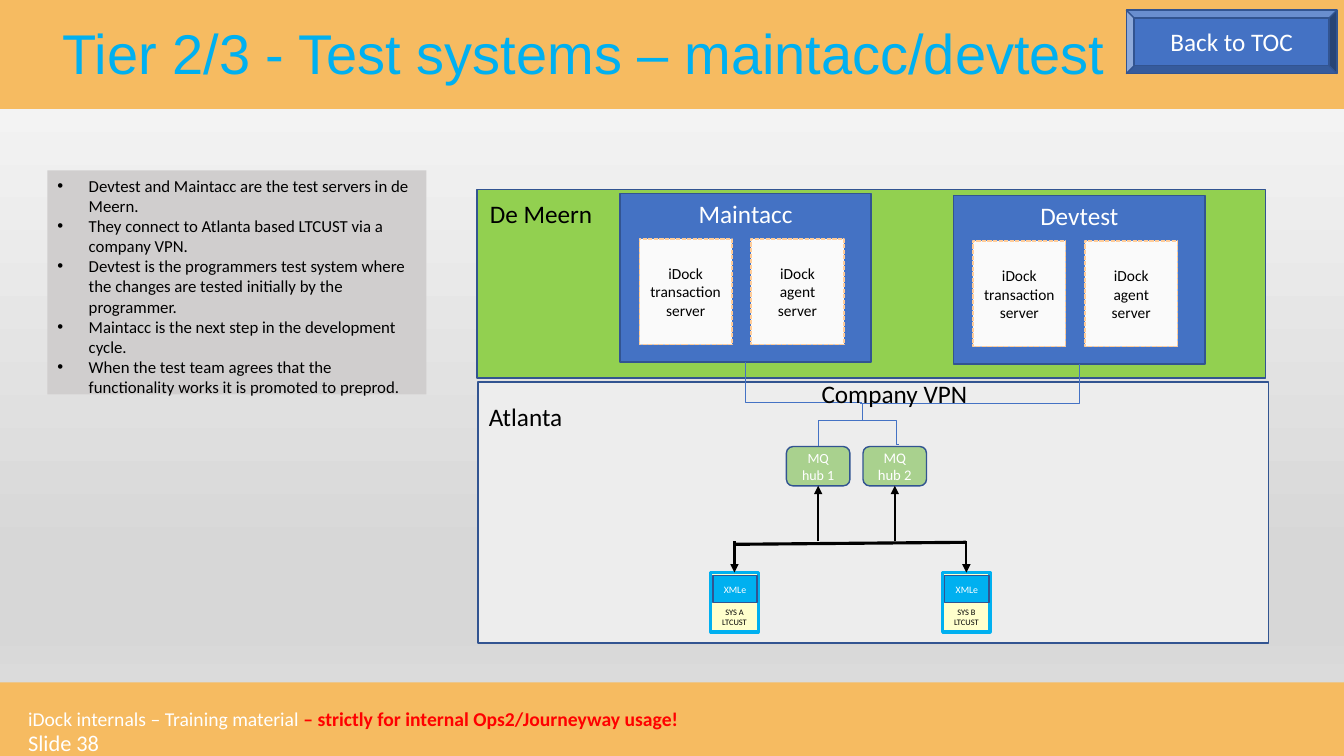
from dataclasses import dataclass

import lxml.etree
import pptx
import pptx.dml.color
import pptx.enum.dml
import pptx.enum.shapes
import pptx.enum.text
import pptx.oxml.ns
import pptx.util

Inches = pptx.util.Inches
Pt = pptx.util.Pt
qn = pptx.oxml.ns.qn
SHAPE = pptx.enum.shapes.MSO_SHAPE
CONNECTOR = pptx.enum.shapes.MSO_CONNECTOR
ANCHOR = pptx.enum.text.MSO_ANCHOR
ALIGN = pptx.enum.text.PP_ALIGN
AUTO_SIZE = pptx.enum.text.MSO_AUTO_SIZE

COLORS = {
    "band": "F6BB61", "title": "00B0F0", "white": "FFFFFF", "black": "000000",
    "warning": "FF0000", "site": "92D050", "server": "4472C4", "outline": "325491",
    "atlanta": "EDEDED", "app": "FAFAFA", "app_line": "FFCC99", "host": "FFFFCC",
    "hub": "A9D18E", "notes": "D0CECE",
}
BACKGROUND_STOPS = [(0, "FAFAFA"), (74, "D7D7D7"), (83, "D7D7D7"), (100, "E4E4E4")]
NOTES = [
    "Devtest and Maintacc are the test servers in de Meern.",
    "They connect to Atlanta based LTCUST via a company VPN.",
    "Devtest is the programmers test system where the changes are tested initially by the programmer.",
    "Maintacc is the next step in the development cycle.",
    "When the test team agrees that the functionality works it is promoted to preprod.",
]


@dataclass
class Box:
    left: float
    top: float
    width: float
    height: float
    fill: str
    line: str | None = "outline"
    text: str = ""
    size: float = 18
    color: str = "white"
    anchor: ANCHOR = ANCHOR.MIDDLE
    preset: SHAPE = SHAPE.RECTANGLE
    line_width: float = 1
    dashed: bool = False
    side_margin: float = 0.1


@dataclass
class Label:
    left: float
    top: float
    width: float
    height: float
    runs: list[tuple[str, str]]
    size: float = 18
    bold_last: bool = False


def rgb(name: str) -> pptx.dml.color.RGBColor:
    return pptx.dml.color.RGBColor.from_string(COLORS[name])


def set_font(font, size: float, color: str, name: str = "Calibri") -> None:
    font.size, font.name = Pt(size), name
    font.color.rgb = rgb(color)


def place(shape, left: float, top: float, width: float, height: float) -> None:
    shape.left, shape.top = Inches(left), Inches(top)
    shape.width, shape.height = Inches(width), Inches(height)


def draw_box(slide, box: Box):
    shape = slide.shapes.add_shape(box.preset, *map(Inches, (box.left, box.top, box.width, box.height)))
    shape.shadow.inherit = False
    shape.fill.solid()
    shape.fill.fore_color.rgb = rgb(box.fill)
    if box.line:
        shape.line.color.rgb = rgb(box.line)
        shape.line.width = Pt(box.line_width)
        if box.dashed:
            shape.line.dash_style = pptx.enum.dml.MSO_LINE.SQUARE_DOT
    else:
        shape.line.fill.background()
    if box.text:
        frame = shape.text_frame
        frame.text = box.text
        frame.word_wrap = True
        frame.vertical_anchor = box.anchor
        frame.margin_left = frame.margin_right = Inches(box.side_margin)
        for para in frame.paragraphs:
            para.alignment = ALIGN.CENTER
            set_font(para.font, box.size, box.color)
    return shape


def draw_label(slide, label: Label) -> None:
    text_box = slide.shapes.add_textbox(*map(Inches, (label.left, label.top, label.width, label.height)))
    text_box.text_frame.word_wrap = False
    text_box.text_frame.auto_size = AUTO_SIZE.SHAPE_TO_FIT_TEXT
    para = text_box.text_frame.paragraphs[0]
    for text, color in label.runs:
        span = para.add_run()
        span.text = text
        set_font(span.font, label.size, color)
    if label.bold_last:
        para.runs[-1].font.bold = True


def draw_server(slide, left: float, top: float, name: str):
    """Draw a test server holding its two application boxes."""
    server = draw_box(slide, Box(left, top, 2.49, 1.67, "server", text=name, anchor=ANCHOR.TOP))
    for column, role in enumerate(["transaction", "agent"]):
        draw_box(slide, Box(left + 0.19 + column * 1.11, top + 0.45, 0.92, 1.05, "app", "app_line",
                            f"iDock {role} server", 11, "black", dashed=True))
    return server


def draw_host(slide, left: float, name: str):
    """Draw a host with its XMLe layer on top."""
    host = draw_box(slide, Box(left, 5.68, 0.47, 0.59, "host", "title", f"{name}\nLTCUST", 6, "black",
                               ANCHOR.BOTTOM, line_width=2.25, side_margin=0))
    draw_box(slide, Box(left + 0.02, 5.71, 0.44, 0.27, "title", text="XMLe", size=7, side_margin=0))
    return host


def draw_link(slide, start: tuple[float, float], end: tuple[float, float], color: str, width: float,
              kind: CONNECTOR = CONNECTOR.STRAIGHT, arrow: bool = False):
    link = slide.shapes.add_connector(kind, *map(Inches, start + end))
    link.line.color.rgb = rgb(color)
    link.line.width = Pt(width)
    if arrow:
        lxml.etree.SubElement(link.line._get_or_add_ln(), qn("a:tailEnd"), type="triangle")
    lxml.etree.SubElement(link.element.spPr, qn("a:effectLst"))
    return link


def draw_elbow(slide, start: tuple[float, float], end: tuple[float, float], width: float = 0.5,
               bend: int | None = None):
    """Run sideways first, then turn once, or twice at the given bend (in 1/100000)."""
    link = draw_link(slide, start, end, "server", width, CONNECTOR.ELBOW)
    geometry = link.element.spPr.find(qn("a:prstGeom"))
    if bend is None:
        geometry.set("prst", "bentConnector2")
    else:
        guides = geometry.find(qn("a:avLst"))
        lxml.etree.SubElement(guides, qn("a:gd"), name="adj1", fmla=f"val {bend}")
    return link


def paint_background(slide) -> None:
    fill = slide.background.fill
    fill.gradient()
    fill.gradient_angle = 270
    stops = slide.element.find(".//" + qn("a:gsLst"))
    for stop in list(stops):
        stops.remove(stop)
    for percent, color in BACKGROUND_STOPS:
        stop = lxml.etree.SubElement(stops, qn("a:gs"), pos=str(percent * 1000))
        lxml.etree.SubElement(stop, qn("a:srgbClr"), val=color)


def fill_title(title) -> None:
    title.element.getparent().append(title.element)  # in front of the top band
    place(title, 0.52, 0.13, 10.65, 0.77)
    frame = title.text_frame
    frame.text = "Tier 2/3 - Test systems – maintacc/devtest"
    frame.word_wrap = False
    frame.auto_size = AUTO_SIZE.SHAPE_TO_FIT_TEXT
    frame.vertical_anchor = ANCHOR.TOP
    frame.paragraphs[0].alignment = ALIGN.LEFT
    set_font(frame.paragraphs[0].font, 40, "title", "Arial")


def fill_notes(body) -> None:
    place(body, 0.47, 1.69, 3.76, 2.32)
    body.fill.solid()
    body.fill.fore_color.rgb = rgb("notes")
    frame = body.text_frame
    frame.text = "\n".join(NOTES)
    frame.auto_size = AUTO_SIZE.SHAPE_TO_FIT_TEXT
    for para in frame.paragraphs:
        properties = para._p.get_or_add_pPr()
        properties.set("marL", str(Inches(0.31)))
        properties.set("indent", str(Inches(-0.31)))
        lxml.etree.SubElement(properties, qn("a:buFont"), typeface="Arial")
        lxml.etree.SubElement(properties, qn("a:buChar"), char="•")
        para.space_before = Pt(0)
        set_font(para.font, 12, "black")


def main() -> None:
    deck = pptx.Presentation()
    deck.slide_width, deck.slide_height = Inches(13.33), Inches(7.5)
    slide = deck.slides.add_slide(deck.slide_layouts[1])
    paint_background(slide)
    for top, height in [(0, 1.08), (6.77, 0.73)]:
        draw_box(slide, Box(-0.02, top, 13.36, height, "band", None))
    fill_title(slide.shapes.title)
    fill_notes(slide.placeholders[1])

    draw_box(slide, Box(4.73, 1.88, 7.82, 1.87, "site"))
    draw_box(slide, Box(4.74, 3.79, 7.84, 2.59, "atlanta"))
    maintacc = draw_server(slide, 6.15, 1.92, "Maintacc")
    devtest = draw_server(slide, 9.46, 1.94, "Devtest")
    hubs = [draw_box(slide, Box(left, 4.43, 0.63, 0.39, "hub", text=name, size=size,
                                preset=SHAPE.ROUNDED_RECTANGLE))
            for left, name, size in [(7.8, "MQ hub 1", 10), (8.56, "MQ hub 2", 10.5)]]
    hosts = [draw_host(slide, 7.05, "SYS A"), draw_host(slide, 9.35, "SYS B")]

    draw_link(slide, (7.28, 5.4), (9.58, 5.38), "black", 2.25)
    for target, side in [(hub, 2) for hub in hubs] + [(host, 0) for host in hosts]:
        center = (target.left + target.width // 2) / Inches(1)
        link = draw_link(slide, (center, 5.37), (center, 5.6), "black", 1.5, arrow=True)
        link.end_connect(target, side)

    draw_elbow(slide, (8.55, 3.99), (7.4, 3.59)).end_connect(maintacc, 2)
    draw_elbow(slide, (8.53, 4), (10.71, 3.61), 0.25).end_connect(devtest, 2)
    draw_link(slide, (8.55, 4.17), (8.55, 4.01), "server", 0.5)
    draw_elbow(slide, (8.55, 4.17), (8.11, 4.43)).end_connect(hubs[0], 0)
    draw_elbow(slide, (8.55, 4.17), (8.92, 4.41), bend=90900)

    for label in [
        Label(4.76, 1.92, 1.23, 0.4, [("De Meern", "black")]),
        Label(4.75, 3.93, 0.94, 0.4, [("Atlanta", "black")]),
        Label(8.05, 3.7, 1.66, 0.4, [("Company VPN", "black")]),
        Label(0.18, 6.96, 7.53, 0.34, [("iDock internals – Training material ", "white"),
              ("– strictly for internal Ops2/Journeyway usage!", "warning")], 14, True),
        Label(0.18, 7.18, 1.38, 0.37, [("Slide 38", "white")], 16),
    ]:
        draw_label(slide, label)
    draw_box(slide, Box(11.17, 0.1, 2.09, 0.63, "server", text="Back to TOC", preset=SHAPE.BEVEL))
    deck.save("out.pptx")


if __name__ == "__main__":
    main()
